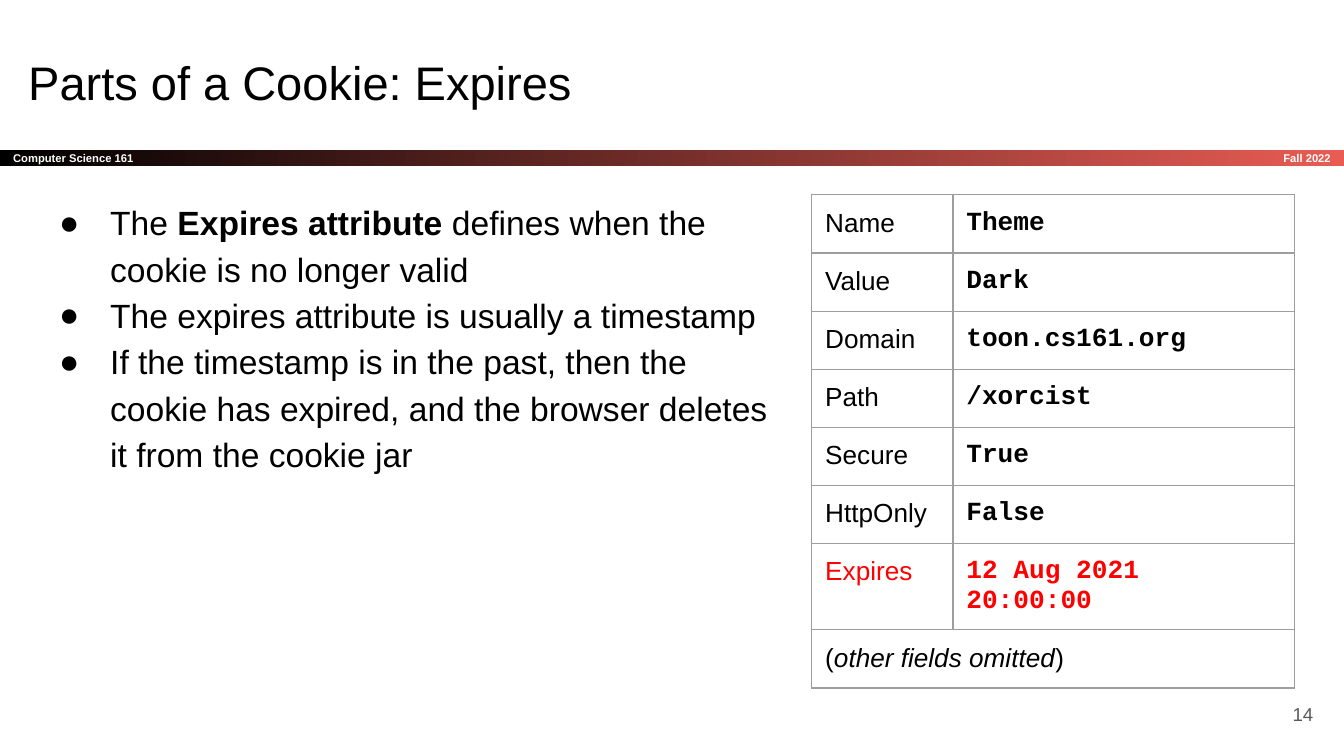
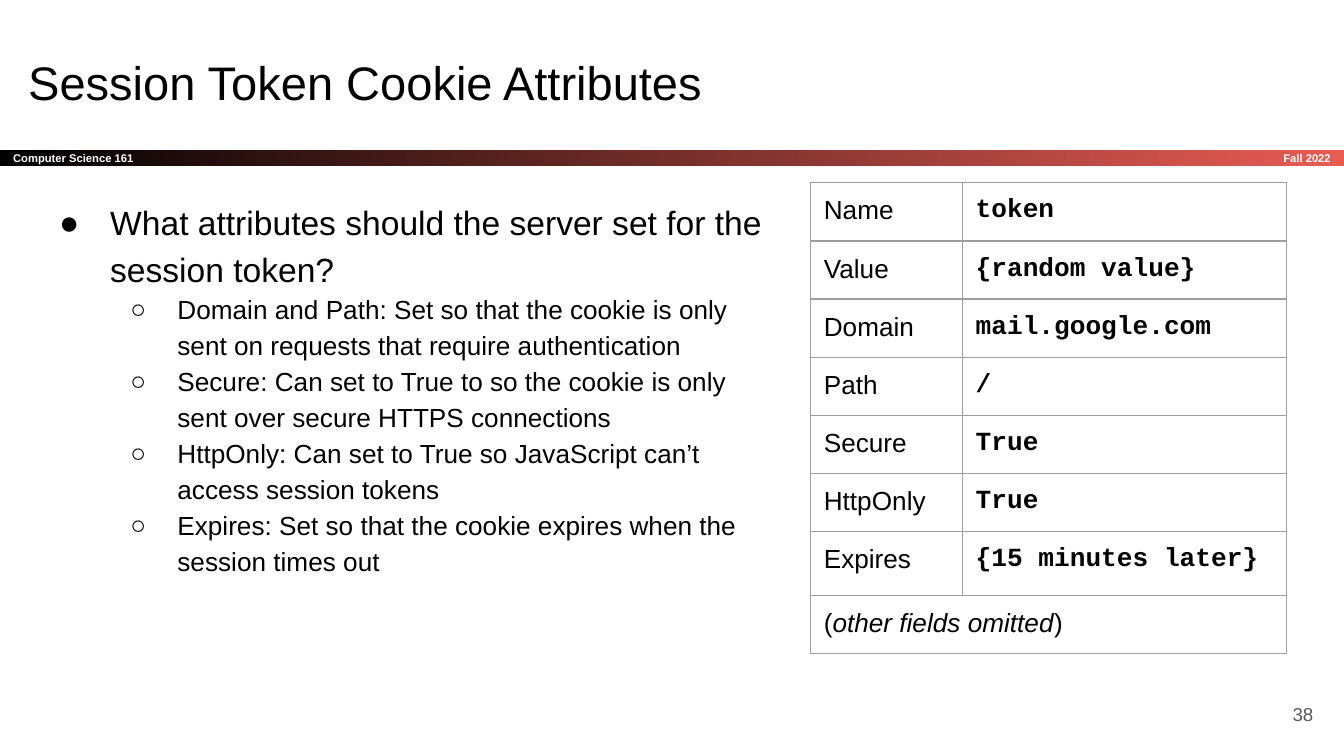
from dataclasses import dataclass

from lxml.etree import SubElement
from pptx import Presentation
from pptx.dml.color import RGBColor as Color
from pptx.enum.shapes import MSO_SHAPE as Preset
from pptx.enum.text import MSO_ANCHOR as Anchor, MSO_AUTO_SIZE as AutoSize, PP_ALIGN as Align
from pptx.oxml.ns import qn
from pptx.util import Emu, Inches, Pt

# The slide is a grid of 100 columns by 56.25 rows of square cells
COLUMNS, ROWS = 100, 56.25
CELL = Inches(0.1)


@dataclass(frozen=True)
class Theme:
    sans: str = "Arial"
    mono: str = "Courier New"
    ink: str = "000000"
    accent: str = "E85C54"
    alert: str = "FF0000"
    light: str = "FFFFFF"
    muted: str = "595959"
    border: str = "9E9E9E"
    border_width: float = 0.75
    title_size: float = 25.2
    body_sizes: tuple = (18, 14)
    table_size: float = 14
    band_size: float = 6
    number_size: float = 10
    line_spacing: float = 1.15
    # Per level: bullet, left margin and hanging indent in columns
    bullets: tuple = (("●", 5, 3.8), ("○", 10, 3.5))


def cells(count):
    return Emu(round(count * CELL))


def assign(target, values):
    for name, value in values.items():
        setattr(target, name, value)


class Deck:
    def __init__(self, theme):
        self.theme = theme
        self.file = Presentation()
        assign(self.file, {"slide_width": cells(COLUMNS), "slide_height": cells(ROWS)})
        self.page = None

    def new_page(self, title, number):
        self.page = self.file.slides.add_slide(self.file.slide_layouts[1])
        self.band("Computer Science 161", "Fall 2022")
        self.title(title)
        self.page_number(number)

    # Text helpers
    def span(self, para, text, size, color=None, font=None, **styles):
        span = para.add_run()
        span.text = text
        assign(span.font, {"name": font or self.theme.sans, "size": Pt(size),
                           "bold": False, "italic": False, **styles})
        span.font.color.rgb = Color.from_string(color or self.theme.ink)

    def frame(self, box, anchor=Anchor.TOP, vertical_margin=1):
        assign(box.text_frame, {
            "word_wrap": True, "auto_size": AutoSize.NONE, "vertical_anchor": anchor,
            "margin_left": CELL, "margin_right": CELL,
            "margin_top": cells(vertical_margin), "margin_bottom": cells(vertical_margin)})
        return box.text_frame.paragraphs[0]

    def place(self, box, left, top, width, height):
        assign(box, {"left": cells(left), "top": cells(top),
                     "width": cells(width), "height": cells(height)})

    def label(self, text, area, size, color, **styles):
        box = self.page.shapes.add_textbox(*map(cells, area))
        para = self.frame(box, Anchor.MIDDLE, 0)
        para.alignment = Align.RIGHT
        self.span(para, text, size, color, **styles)

    # Shared furniture
    def band(self, course, term):
        theme = self.theme
        top, height, term_width = 11.15, 1.2, 16.6
        bar = self.page.shapes.add_shape(
            Preset.RECTANGLE, *map(cells, (0, top, COLUMNS, height)))
        bar.shadow.inherit = False
        bar.line.fill.background()
        bar.fill.gradient()
        bar.fill.gradient_angle = 0
        for position, (stop, color) in enumerate(
                zip(bar.fill.gradient_stops, (theme.ink, theme.accent))):
            stop.position = position
            stop.color.rgb = Color.from_string(color)
        para = self.frame(bar, Anchor.MIDDLE, 0)
        para.alignment = Align.LEFT
        self.span(para, course, theme.band_size, theme.light, bold=True)
        self.label(term, (COLUMNS - term_width, top, term_width, height),
                   theme.band_size, theme.light, bold=True)

    def title(self, text):
        box = self.page.shapes.title
        self.place(box, 1.1, 3, 93.2, 6.3)
        para = self.frame(box)
        para.alignment = Align.LEFT
        self.span(para, text, self.theme.title_size)

    def page_number(self, number):
        self.label(str(number), (92.7, 51, 6, 4.3), self.theme.number_size, self.theme.muted)

    # Bulleted list: items are (level, [(text, styles), ...])
    def bullet_list(self, items):
        box = self.page.placeholders[1]
        self.place(box, 2.2, 13.6, 56.2, 41.2)
        para = self.frame(box)
        for index, (level, spans) in enumerate(items):
            if index:
                para = box.text_frame.add_paragraph()
            self.bullet(para, level)
            assign(para, {"level": level, "alignment": Align.LEFT, "space_before": Pt(0),
                          "space_after": Pt(0), "line_spacing": self.theme.line_spacing})
            for text, styles in spans:
                self.span(para, text, self.theme.body_sizes[level], **styles)

    def bullet(self, para, level):
        symbol, margin, hanging = self.theme.bullets[level]
        props = para._p.get_or_add_pPr()
        props.set("marL", str(cells(margin)))
        props.set("indent", str(-cells(hanging)))
        color = SubElement(props, qn("a:buClr"))
        SubElement(color, qn("a:srgbClr"), val=self.theme.ink)
        SubElement(props, qn("a:buFont"), typeface=self.theme.sans)
        SubElement(props, qn("a:buChar"), char=symbol)

    # Cookie table: one row per field, then a merged closing row
    def cookie_table(self, left, top, widths, fields, expires_height, highlight=None):
        theme = self.theme
        heights = [expires_height if name == "Expires" else 4.33 for name in fields] + [4.33]
        frame = self.page.shapes.add_table(
            len(heights), len(widths),
            *map(cells, (left, top, sum(widths), sum(heights))))
        table = frame.table
        assign(table, {"first_row": False, "horz_banding": False})
        for column, width in zip(table.columns, widths):
            column.width = cells(width)
        for row, height in zip(table.rows, heights):
            row.height = cells(height)
        for cell in table.iter_cells():
            self.style_cell(cell)

        for row, (name, value) in enumerate(fields.items()):
            color = theme.alert if name == highlight else theme.ink
            name_para, value_para = (
                table.cell(row, column).text_frame.paragraphs[0] for column in range(2))
            self.span(name_para, name, theme.table_size, color)
            self.span(value_para, value, theme.table_size, color, theme.mono, bold=True)

        closing = table.cell(len(fields), 0)
        closing.merge(table.cell(len(fields), 1))
        para = closing.text_frame.paragraphs[0]
        for text, italic in (("(", False), ("other fields omitted", True), (")", False)):
            self.span(para, text, theme.table_size, italic=italic)

    def style_cell(self, cell):
        assign(cell, {"margin_left": CELL, "margin_right": CELL, "margin_top": CELL,
                      "margin_bottom": CELL, "vertical_anchor": Anchor.TOP})
        props = cell._tc.get_or_add_tcPr()
        for side in ("lnL", "lnR", "lnT", "lnB"):
            line = SubElement(props, qn(f"a:{side}"), w=str(Pt(self.theme.border_width)))
            fill = SubElement(line, qn("a:solidFill"))
            SubElement(fill, qn("a:srgbClr"), val=self.theme.border)
        cell.fill.background()


def main():
    deck = Deck(Theme())

    # Expires attribute
    deck.new_page("Parts of a Cookie: Expires", 14)
    deck.bullet_list([
        (0, [("The ", {}), ("Expires attribute", {"bold": True}),
             (" defines when the cookie is no longer valid", {})]),
        (0, [("The expires attribute is usually a timestamp", {})]),
        (0, [("If the timestamp is in the past, then the cookie has expired, "
              "and the browser deletes it from the cookie jar", {})]),
    ])
    deck.cookie_table(60.4, 14.5, (10.5, 25.4), {
        "Name": "Theme",
        "Value": "Dark",
        "Domain": "toon.cs161.org",
        "Path": "/xorcist",
        "Secure": "True",
        "HttpOnly": "False",
        "Expires": "12 Aug 2021 20:00:00",
    }, expires_height=4.2, highlight="Expires")

    # Session token attributes
    deck.new_page("Session Token Cookie Attributes", 38)
    advice = (
        "Domain and Path: Set so that the cookie is only sent on requests "
        "that require authentication",
        "Secure: Can set to True to so the cookie is only sent over secure HTTPS connections",
        "HttpOnly: Can set to True so JavaScript can’t access session tokens",
        "Expires: Set so that the cookie expires when the session times out",
    )
    question = "What attributes should the server set for the session token?"
    deck.bullet_list([(0, [(question, {})])] + [(1, [(text, {})]) for text in advice])
    deck.cookie_table(60.3, 13.6, (11.3, 24.1), {
        "Name": "token",
        "Value": "{random value}",
        "Domain": "mail.google.com",
        "Path": "/",
        "Secure": "True",
        "HttpOnly": "True",
        "Expires": "{15 minutes later}",
    }, expires_height=4.75)

    deck.file.save("out.pptx")


if __name__ == "__main__":
    main()
